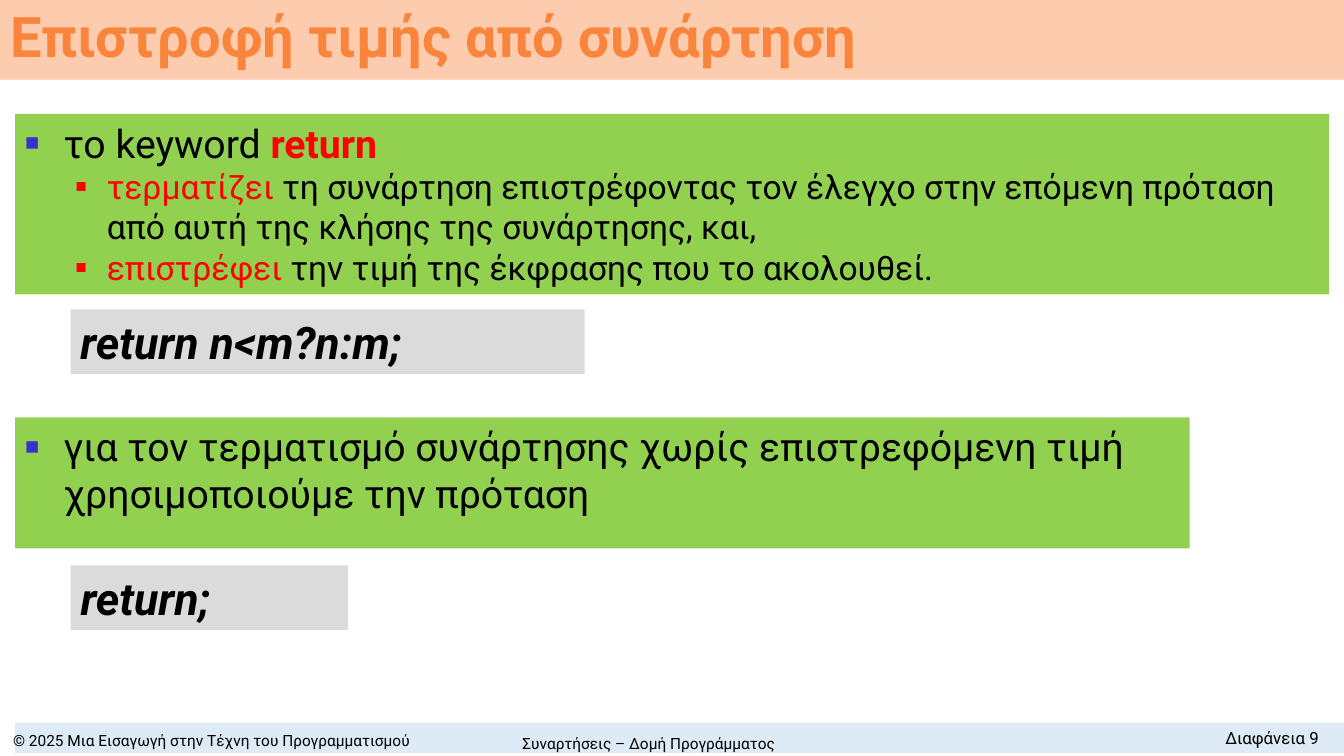
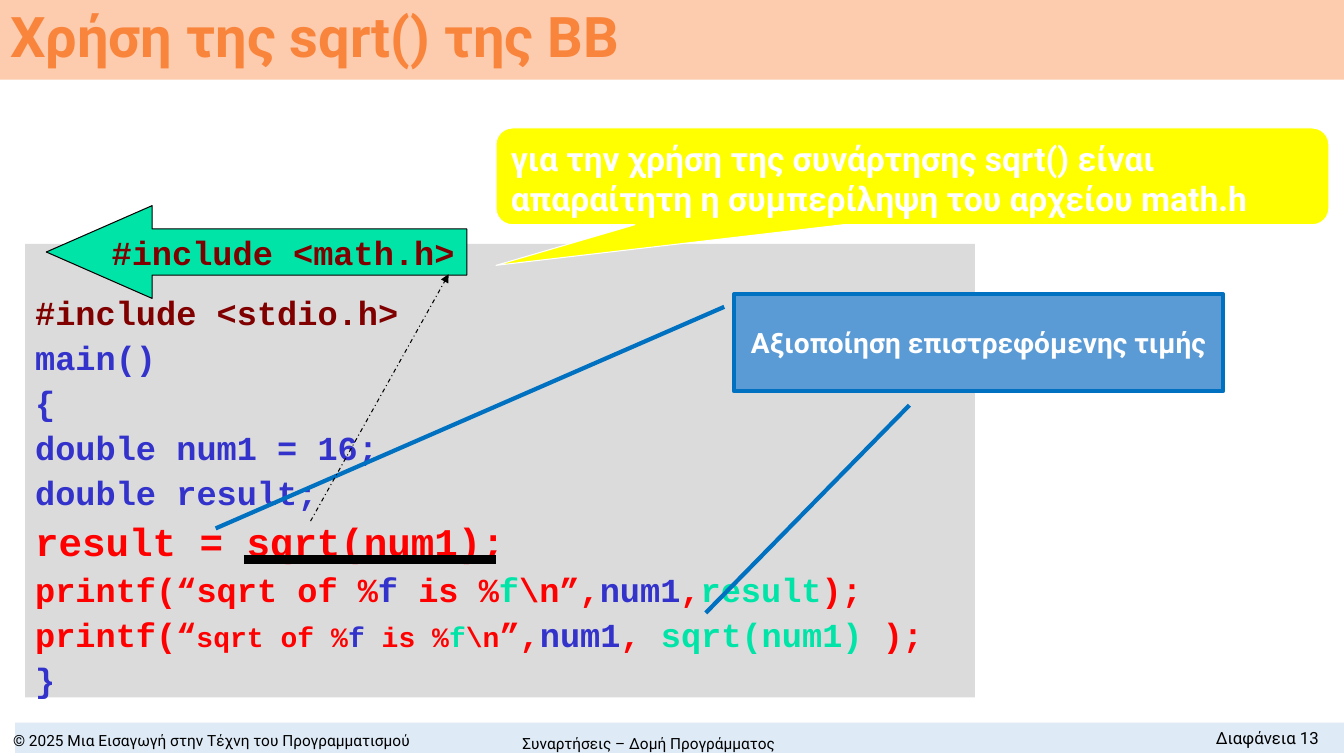
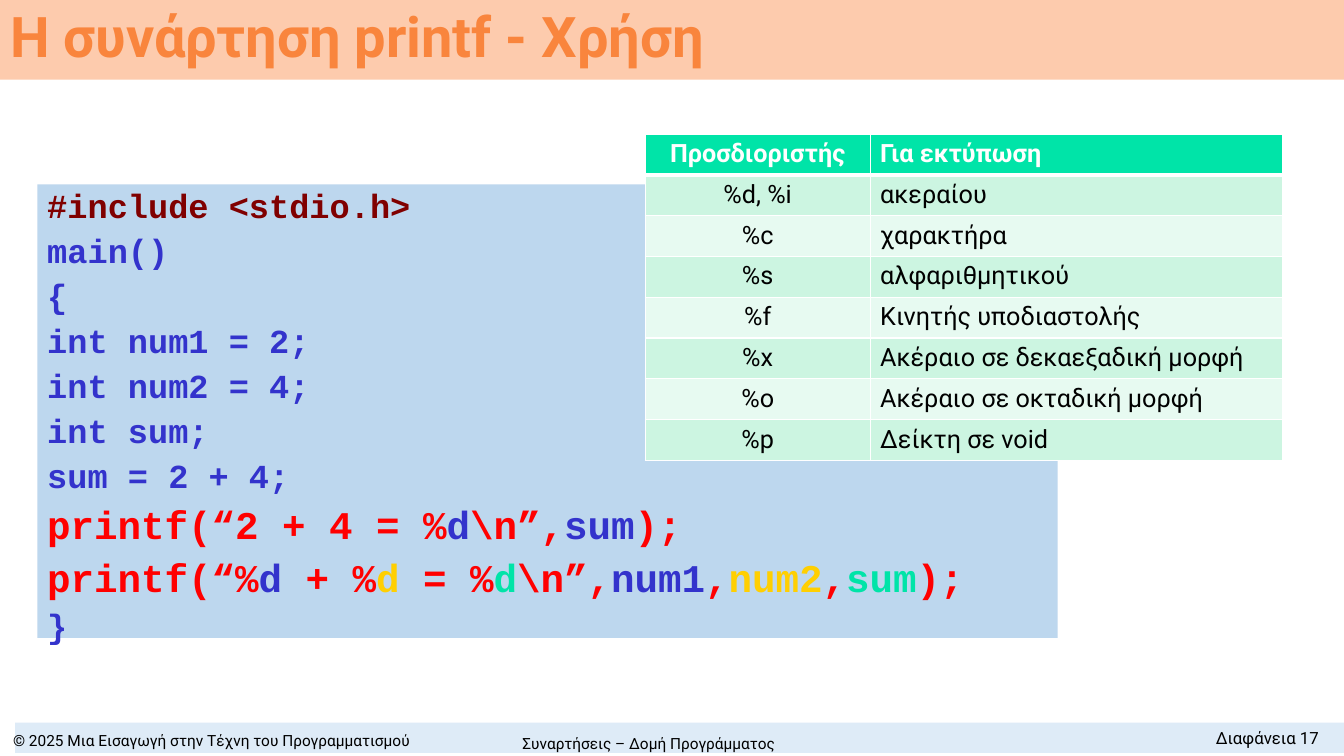
from dataclasses import dataclass
from typing import NamedTuple

from lxml import etree
from pptx import Presentation
from pptx.dml.color import RGBColor
from pptx.enum.dml import MSO_LINE
from pptx.enum.shapes import MSO_CONNECTOR, MSO_SHAPE
from pptx.enum.text import MSO_ANCHOR, MSO_AUTO_SIZE, PP_ALIGN
from pptx.oxml.ns import qn
from pptx.util import Pt

PX = 9144
LEFT, MID, RIGHT = PP_ALIGN.LEFT, PP_ALIGN.CENTER, PP_ALIGN.RIGHT
TOP, CENTER = MSO_ANCHOR.TOP, MSO_ANCHOR.MIDDLE
FIXED = MSO_AUTO_SIZE.NONE
RECT = MSO_SHAPE.RECTANGLE
ARROW = MSO_SHAPE.LEFT_ARROW
LEADER = MSO_SHAPE.LINE_CALLOUT_2
BUBBLE = MSO_SHAPE.ROUNDED_RECTANGULAR_CALLOUT
STRAIGHT = MSO_CONNECTOR.STRAIGHT
DASH = MSO_LINE.DASH_DOT


@dataclass(frozen=True)
class Theme:
    sans: str = "Roboto"
    mono: str = "Courier New"
    black: str = "000000"
    white: str = "FFFFFF"
    red: str = "FF0000"
    blue: str = "3333CC"
    mint: str = "00E4A8"
    gold: str = "FFCF01"
    maroon: str = "800000"
    orange: str = "F9853D"
    peach: str = "FDCBAD"
    pale: str = "DEEBF7"
    sky: str = "BDD7EE"
    green: str = "92D050"
    gray: str = "DBDBDB"
    steel: str = "5B9BD5"
    navy: str = "0070C0"
    yellow: str = "FFFF00"
    odd: str = "CCF5E1"
    even: str = "E7FAF1"
    head: int = 40
    large: int = 32
    lead: int = 28
    text: int = 24
    small: int = 20
    cell: int = 18
    page: int = 12
    foot: int = 11
    code_gap: float = 0.26
    code_line: float = 0.9


T = Theme()


class Box(NamedTuple):
    x: int
    y: int
    w: int
    h: int

    def sub(self, x, y, w, h):
        return Box(self.x + x, self.y + y, w, h)

    def emu(self):
        return [n * PX for n in self]


def rgb(tone):
    return RGBColor.from_string(tone)


def paint(item, tone):
    item.fill.solid()
    item.fill.fore_color.rgb = rgb(tone)


def stroke(line, tone, width):
    line.color.rgb = rgb(tone)
    line.width = Pt(width)


def write(para, parts, size, tone=T.black, font=T.sans, bold=False, slant=False, align=LEFT):
    para.alignment = align
    for text, *own in parts:
        run = para.add_run()
        run.text = text
        look = run.font
        look.name = font
        look.color.rgb = rgb(own[0] if own else tone)
        look.size = Pt(own[1] if len(own) > 1 else size)
        look.bold = own[2] if len(own) > 2 else bold
        look.italic = slant


def lines(frame, count):
    yield frame.paragraphs[0]
    for _ in range(count - 1):
        yield frame.add_paragraph()


def setup(frame, anchor=TOP, wrap=True):
    frame.auto_size = FIXED
    frame.word_wrap = wrap
    frame.vertical_anchor = anchor


def label(slide, box, text, size, anchor=CENTER, fill=None, **look):
    item = slide.shapes.add_textbox(*box.emu())
    if fill:
        paint(item, fill)
    setup(item.text_frame, anchor)
    write(item.text_frame.paragraphs[0], [(text,)], size, **look)


def block(slide, box, fill, kind=RECT, edge=None, turns=()):
    item = slide.shapes.add_shape(kind, *box.emu())
    item.shadow.inherit = False
    paint(item, fill)
    if edge:
        stroke(item.line, *edge)
    else:
        item.line.fill.background()
    for i, turn in enumerate(turns):
        item.adjustments[i] = turn
    return item


def link(slide, box, start, end, tone, width, arrow=False):
    x1, y1, x2, y2 = [n * PX for n in (
        box.x + start[0], box.y + start[1], box.x + end[0], box.y + end[1])]
    item = slide.shapes.add_connector(STRAIGHT, x1, y1, x2, y2)
    stroke(item.line, tone, width)
    if arrow:
        item.line.dash_style = DASH
        etree.SubElement(item.line._get_or_add_ln(), qn("a:tailEnd"), type="triangle")
    etree.SubElement(item._element.spPr, qn("a:effectLst"))


def place(item, box, fill, anchor):
    item.left, item.top, item.width, item.height = box.emu()
    paint(item, fill)
    setup(item.text_frame, anchor)


def header(slide, box, text):
    title = slide.shapes.title
    place(title, box, T.peach, CENTER)
    para = title.text_frame.paragraphs[0]
    para.line_spacing = 0.9
    write(para, [(text,)], T.head, T.orange, bold=True)


def footer(slide, box, page):
    block(slide, box.sub(15, 0, 1318, 30), T.pale)
    label(slide, box.sub(0, 5, 420, 26),
          "© 2025 Μια Εισαγωγή στην Τέχνη του Προγραμματισμού", T.foot, align=MID)
    label(slide, box.sub(1112, 0, 206, 30), f"Διαφάνεια {page}", T.page, align=RIGHT)
    label(slide, box.sub(454, 6, 379, 28),
          "Συναρτήσεις – Δομή Προγράμματος", T.foot, align=MID)


def bullet(para, level):
    left, hang, tone, share = ((38, 38, T.blue, 60), (81, 31, T.red, 55))[level]
    para.level = level
    para.space_before = Pt(0)
    props = para._p.get_or_add_pPr()
    props.set("marL", str(left * PX))
    props.set("indent", str(-hang * PX))
    color = etree.SubElement(props, qn("a:buClr"))
    etree.SubElement(color, qn("a:srgbClr"), val=tone)
    etree.SubElement(props, qn("a:buSzPct"), val=str(share * 1000))
    etree.SubElement(props, qn("a:buFont"), typeface="Arial")
    etree.SubElement(props, qn("a:buChar"), char="■")


def points(item, box, rows):
    place(item, box, T.green, TOP)
    for para, (level, parts) in zip(lines(item.text_frame, len(rows)), rows):
        bullet(para, level)
        write(para, parts, (T.lead, T.text)[level])


def code(slide, box, fill, rows, inset=5):
    frame = block(slide, box, fill).text_frame
    setup(frame)
    frame.margin_top = inset * PX
    for i, (para, (size, parts)) in enumerate(zip(lines(frame, len(rows)), rows)):
        para.line_spacing = T.code_line
        if i:
            para.space_before = Pt(round(size * T.code_gap, 1))
        write(para, parts, size, T.blue, T.mono, True)


def border(cell, bottom, top):
    props = cell._tc.get_or_add_tcPr()
    for i, (side, width) in enumerate((("L", 1), ("R", 1), ("T", top), ("B", bottom))):
        edge = etree.Element(qn(f"a:ln{side}"), w=str(Pt(width)))
        fill = etree.SubElement(edge, qn("a:solidFill"))
        etree.SubElement(fill, qn("a:srgbClr"), val=T.white)
        props.insert(i, edge)


def grid(slide, box, widths, rows):
    table = slide.shapes.add_table(len(rows), len(widths), *box.emu()).table
    for col, width in zip(table.columns, widths):
        col.width = width * PX
    for r, row in enumerate(rows):
        fill = T.mint if r == 0 else (T.even, T.odd)[r % 2]
        for c, text in enumerate(row):
            cell = table.cell(r, c)
            paint(cell, fill)
            border(cell, 3 if r == 0 else 1, 3 if r == 1 else 1)
            write(cell.text_frame.paragraphs[0], [(text,)], T.cell,
                  T.black if r else T.white, bold=r == 0, align=(MID, LEFT)[c])


def return_slide(slide, box):
    first, second = list(slide.placeholders)[1:]
    points(first, box.sub(15, 34, 1303, 179), [
        (0, [("το keyword ",), ("return", T.red, T.lead, True)]),
        (1, [("τερματίζει", T.red),
             (" τη συνάρτηση επιστρέφοντας τον έλεγχο στην επόμενη πρόταση "
              "από αυτή της κλήσης της συνάρτησης, και,",)]),
        (1, [("επιστρέφει", T.red), (" την τιμή της έκφρασης που το ακολουθεί.",)]),
    ])
    points(second, box.sub(15, 335, 1165, 130), [
        (0, [("για τον τερματισμό συνάρτησης χωρίς επιστρεφόμενη τιμή "
              "χρησιμοποιούμε την πρόταση",)]),
    ])
    for text, y, width in (("return n<m?n:m;", 228, 510), ("return;", 482, 275)):
        label(slide, box.sub(70, y, width, 64), text, T.large, TOP, T.gray,
              bold=True, slant=True)


def sqrt_slide(slide, box):
    red, mint = T.red, T.mint
    code(slide, box.sub(25, 163, 942, 450), T.gray, [
        (T.text, [("#include <stdio.h>", T.maroon)]),
        (T.text, [("main()",)]),
        (T.text, [("{",)]),
        (T.text, [("double num1 = 16;",)]),
        (T.text, [("double result;",)]),
        (T.lead, [("result = sqrt(num1);", red)]),
        (T.text, [("printf(“sqrt of %", red), ("f",), (" is %", red), ("f", mint),
                  ("\\n”,", red), ("num1",), (",", red), ("result", mint), (");", red)]),
        (T.text, [("printf(“", red), ("sqrt of %", red, T.small), ("f", T.blue, T.small),
                  (" is %", red, T.small), ("f", mint, T.small), ("\\n", red, T.small),
                  ("”,", red), ("num1",), (", ", red), ("sqrt(num1)", mint), (" );", red)]),
        (T.text, [("}",)]),
    ], inset=52)

    value = block(slide, box.sub(728, 213, 485, 96), T.steel, LEADER, (T.navy, 3),
                  (0.13, -0.02, 0.13, -0.02, 2.42, -1.06)).text_frame
    setup(value, CENTER)
    write(value.paragraphs[0], [("Αξιοποίηση επιστρεφόμενης τιμής",)], T.small,
          T.white, bold=True, align=MID)
    link(slide, box, (902, 323), (700, 529), T.navy, 3)

    include = block(slide, box.sub(46, 125, 417, 92), mint, ARROW, (T.black, 0.75),
                    (0.5, 1.14)).text_frame
    setup(include, CENTER, False)
    write(include.paragraphs[0], [("#include <math.h>",)], T.text, T.maroon, T.mono,
          True, align=MID)
    link(slide, box, (308, 438), (445, 193), T.black, 0.75, True)

    advice = block(slide, box.sub(492, 48, 826, 96), T.yellow, BUBBLE, (T.white, 0.75),
                   (-0.5, 0.92, 0.17)).text_frame
    setup(advice)
    rows = ("για την χρήση της συνάρτησης sqrt() είναι",
            "απαραίτητη η συμπερίληψη του αρχείου math.h")
    for para, text in zip(lines(advice, len(rows)), rows):
        write(para, [(text,)], T.text, T.white, bold=True)
    link(slide, box, (242, 476), (492, 476), T.black, 6)


def printf_slide(slide, box):
    red, mint, gold = T.red, T.mint, T.gold
    code(slide, box.sub(37, 104, 1012, 450), T.sky, [
        (T.text, [("#include <stdio.h>", T.maroon)]),
        (T.text, [("main()",)]),
        (T.text, [("{",)]),
        (T.text, [("int num1 = 2;",)]),
        (T.text, [("int num2 = 4;",)]),
        (T.text, [("int sum;",)]),
        (T.text, [("sum = 2 + 4;",)]),
        (T.lead, [("printf(“2 + 4 = %", red), ("d",), ("\\n”,", red), ("sum",),
                  (");", red)]),
        (T.lead, [("printf(“%", red), ("d",), (" + %", red), ("d", gold), (" = %", red),
                  ("d", mint), ("\\n”,", red), ("num1",), (",", red), ("num2", gold),
                  (",", red), ("sum", mint), (");", red)]),
        (T.text, [("}",)]),
    ])
    grid(slide, box.sub(640, 54, 632, 324), (223, 409), [
        ("Προσδιοριστής", "Για εκτύπωση"),
        ("%d, %i", "ακεραίου"),
        ("%c", "χαρακτήρα"),
        ("%s", "αλφαριθμητικού"),
        ("%f", "Κινητής υποδιαστολής"),
        ("%x", "Ακέραιο σε δεκαεξαδική μορφή"),
        ("%o", "Ακέραιο σε οκταδική μορφή"),
        ("%p", "Δείκτη σε void"),
    ])


def main():
    deck = Presentation()
    deck.slide_width, deck.slide_height = 1333 * PX, 750 * PX
    two, plain = deck.slide_layouts[3], deck.slide_layouts[5]
    for layout, title, page, fill in (
        (two, "Επιστροφή τιμής από συνάρτηση", 9, return_slide),
        (plain, "Χρήση της sqrt() της ΒΒ", 13, sqrt_slide),
        (plain, "H συνάρτηση printf - Χρήση", 17, printf_slide),
    ):
        slide = deck.slides.add_slide(layout)
        header(slide, Box(0, 0, 1333, 79), title)
        footer(slide, Box(0, 717, 1333, 33), page)
        fill(slide, Box(0, 79, 1333, 638))
    deck.save("out.pptx")


if __name__ == "__main__":
    main()
